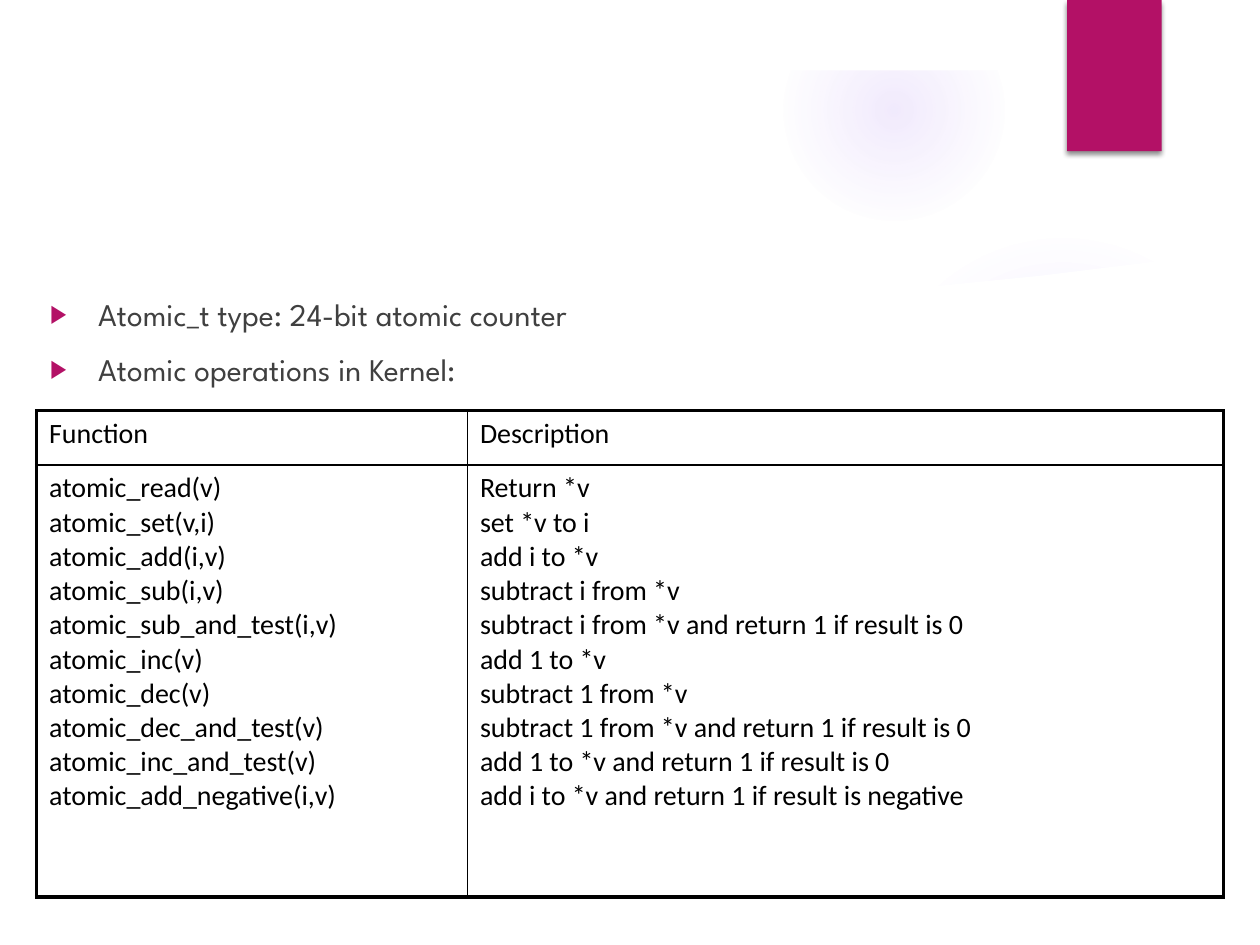
from lxml import etree
from pptx import Presentation
from pptx.dml.color import RGBColor
from pptx.enum.shapes import MSO_SHAPE
from pptx.oxml import parse_xml
from pptx.oxml.ns import nsdecls, qn
from pptx.util import Inches, Pt

WHITE = RGBColor(0xFF, 0xFF, 0xFF)
BLACK = RGBColor(0, 0, 0)
GRAY = RGBColor(0x40, 0x40, 0x40)
MAGENTA = RGBColor(0xB3, 0x11, 0x66)
VIOLET = RGBColor(0x9B, 0x6B, 0xF2)

BULLETS = ["Atomic_t type: 24-bit atomic counter", "Atomic operations in Kernel:"]
OPERATIONS = [
    ("atomic_read(v)", "Return *v"),
    ("atomic_set(v,i)", "set *v to i"),
    ("atomic_add(i,v)", "add i to *v"),
    ("atomic_sub(i,v)", "subtract i from *v"),
    ("atomic_sub_and_test(i,v)", "subtract i from *v and return 1 if result is 0"),
    ("atomic_inc(v)", "add 1 to *v"),
    ("atomic_dec(v)", "subtract 1 from *v"),
    ("atomic_dec_and_test(v)", "subtract 1 from *v and return 1 if result is 0"),
    ("atomic_inc_and_test(v)", "add 1 to *v and return 1 if result is 0"),
    ("atomic_add_negative(i,v)", "add i to *v and return 1 if result is negative"),
]
# Upper edge of the white panel, left to right
PANEL_EDGE = [(0.53, 2.03), (1.73, 2.17), (2.77, 2.26), (4.04, 2.33), (5.48, 2.34),
              (6.64, 2.31), (7.44, 2.27), (8.25, 2.19), (9.06, 2.09), (9.47, 2.03)]


def style_plain(sp, color):
    sp.shadow.inherit = False
    sp.fill.solid()
    sp.fill.fore_color.rgb = color
    sp.line.fill.background()


def add_glow(slide, left, top, size, stops):
    """Circle that fades outwards; stops are (position %, opacity %)."""
    sp = slide.shapes.add_shape(MSO_SHAPE.OVAL, Inches(left), Inches(top),
                                Inches(size), Inches(size))
    style_plain(sp, VIOLET)
    gs = "".join(f'<a:gs pos="{pos * 1000}"><a:srgbClr val="{VIOLET}">'
                 f'<a:alpha val="{alpha * 1000}"/></a:srgbClr></a:gs>'
                 for pos, alpha in stops)
    grad = parse_xml(f'<a:gradFill {nsdecls("a")} rotWithShape="1"><a:gsLst>{gs}</a:gsLst>'
                     '<a:path path="circle"><a:fillToRect l="50000" t="50000" '
                     'r="50000" b="50000"/></a:path></a:gradFill>')
    spPr = sp.element.spPr
    spPr.replace(spPr.find(qn("a:solidFill")), grad)


def add_backdrop(slide, width, height):
    # Glows
    add_glow(slide, 6.89, 1.83, 3.08, [(0, 7), (36, 6), (69, 0)])
    add_glow(slide, 6.22, 0, 1.75, [(0, 14), (36, 7), (73, 0)])

    # White panel with a curved upper edge
    points = [(Inches(x), Inches(y)) for x, y in PANEL_EDGE]
    builder = slide.shapes.build_freeform(*points[0], scale=1.0)
    builder.add_line_segments(points[1:] + [(Inches(9.47), Inches(6.99)),
                                            (Inches(0.53), Inches(6.99))], close=True)
    style_plain(builder.convert_to_shape(), WHITE)

    # White frame around the slide
    margin = Inches(0.56)
    frame = slide.shapes.add_shape(MSO_SHAPE.FRAME, 0, 0, width, height)
    frame.adjustments[0] = margin / min(width, height)
    style_plain(frame, WHITE)


def add_ribbon(slide, left, top, width, height):
    sp = slide.shapes.add_shape(MSO_SHAPE.RECTANGLE, left, top, width, height)
    style_plain(sp, MAGENTA)
    sp.element.spPr.find(qn("a:effectLst")).append(parse_xml(
        f'<a:outerShdw {nsdecls("a")} blurRad="{Pt(3)}" dist="{Pt(2)}" dir="5400000" '
        f'rotWithShape="0"><a:srgbClr val="{BLACK}"><a:alpha val="45000"/></a:srgbClr>'
        '</a:outerShdw>'))


def add_bullets(slide, left, top, width, height):
    tf = slide.shapes.add_textbox(left, top, width, height).text_frame
    tf.word_wrap = True
    tf.text = "\n".join(BULLETS)
    for p in tf.paragraphs:
        p.space_before = Pt(10)
        font = p.runs[0].font
        font.name, font.size, font.color.rgb = "League Spartan", Pt(18), GRAY
        pPr = p._p.get_or_add_pPr()
        pPr.set("marL", str(Inches(0.38)))
        pPr.set("indent", str(-Inches(0.38)))
        color = etree.SubElement(pPr, qn("a:buClr"))
        etree.SubElement(color, qn("a:srgbClr"), val=str(MAGENTA))
        etree.SubElement(pPr, qn("a:buSzPct"), val="80000")
        etree.SubElement(pPr, qn("a:buFont"), typeface="Arial")
        etree.SubElement(pPr, qn("a:buChar"), char="▶")


def set_borders(cell, widths):
    """Draw left, right, top and bottom borders, widths in points."""
    tcPr = cell._tc.get_or_add_tcPr()
    for i, (side, width) in enumerate(zip("LRTB", widths)):
        tcPr.insert(i, parse_xml(
            f'<a:ln{side} {nsdecls("a")} w="{Pt(width)}"><a:solidFill>'
            f'<a:srgbClr val="{BLACK}"/></a:solidFill></a:ln{side}>'))


def add_operations_table(slide, left, top, width, height):
    functions, descriptions = zip(*OPERATIONS)
    rows = [("Function", "Description"),
            ("\n".join(functions), "\n".join(descriptions))]
    table = slide.shapes.add_table(2, 2, left, top, width, height).table
    table.first_row = table.horz_banding = False
    table.columns[0].width = Inches(3.42)
    table.columns[1].width = width - Inches(3.42)
    table.rows[0].height = Inches(0.43)
    table.rows[1].height = height - Inches(0.43)

    thick, thin = 2.25, 1
    for r, texts in enumerate(rows):
        for c, text in enumerate(texts):
            cell = table.cell(r, c)
            cell.fill.background()
            p = cell.text_frame.paragraphs[0]
            p.text = text
            for run in p.runs:
                font = run.font
                font.name, font.size, font.color.rgb = "Calibri", Pt(16), BLACK
            # Outer edges are thick, inner ones thin
            outer = (c == 0, c == 1, r == 0, r == 1)
            set_borders(cell, [thick if edge else thin for edge in outer])


def main():
    prs = Presentation()
    prs.slide_width, prs.slide_height = Inches(10), Inches(7.5)
    slide = prs.slides.add_slide(prs.slide_layouts[6])
    add_backdrop(slide, prs.slide_width, prs.slide_height)
    add_ribbon(slide, Inches(8.47), 0, Inches(0.75), Inches(1.2))
    add_bullets(slide, Inches(0.3), Inches(2.29), Inches(6.94), Inches(3.86))
    add_operations_table(slide, Inches(0.29), Inches(3.26), Inches(9.42), Inches(3.86))
    prs.save("out.pptx")


if __name__ == "__main__":
    main()
